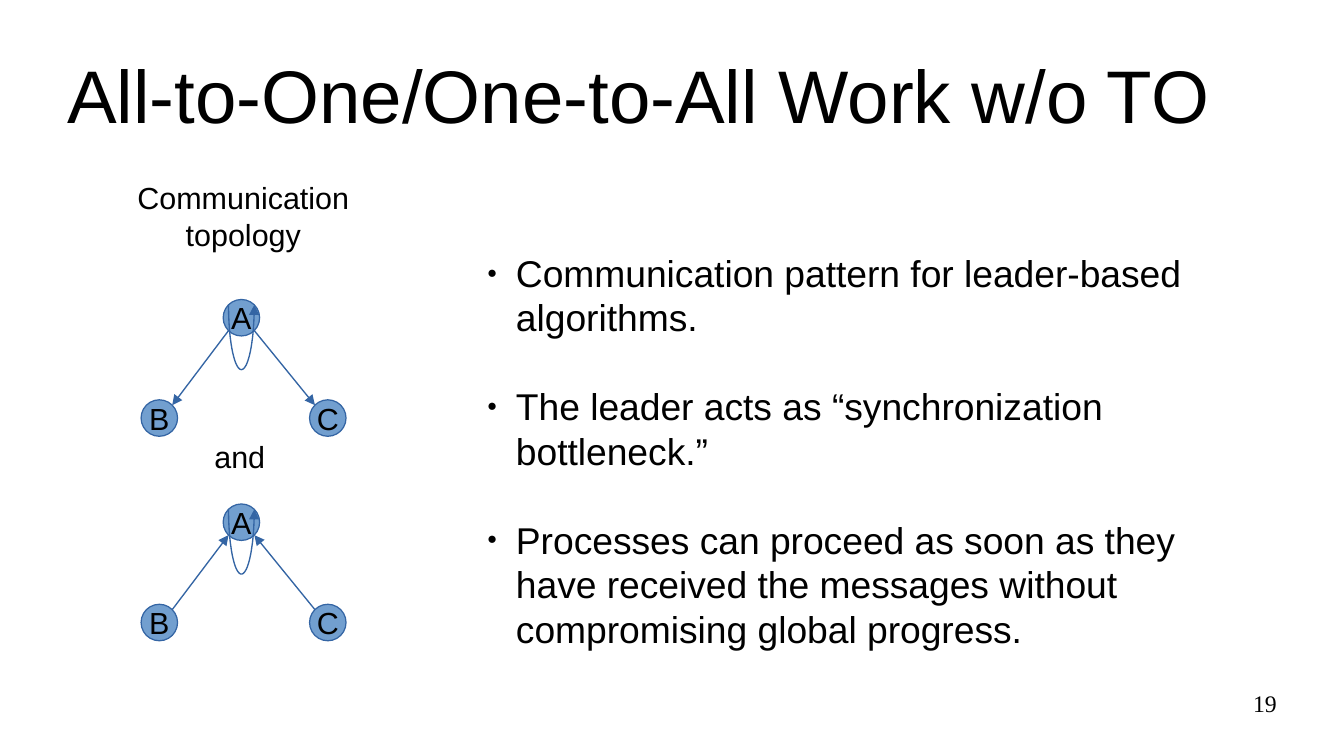
from dataclasses import dataclass
from math import cos, pi, sin, sqrt

from lxml.etree import SubElement
from pptx import Presentation
from pptx.dml.color import RGBColor
from pptx.enum.shapes import MSO_CONNECTOR, MSO_SHAPE
from pptx.enum.text import MSO_ANCHOR as Anchor, MSO_AUTO_SIZE as AutoSize, PP_ALIGN as Align
from pptx.oxml.ns import qn
from pptx.util import Cm, Pt


@dataclass(frozen=True)
class Theme:
    ink: RGBColor = RGBColor(0x00, 0x00, 0x00)
    node: RGBColor = RGBColor(0x72, 0x9F, 0xCF)
    edge: RGBColor = RGBColor(0x34, 0x65, 0xA4)
    sans: str = "Arial"
    serif: str = "Times New Roman"
    title: Pt = Pt(44)
    body: Pt = Pt(22)
    label: Pt = Pt(18)
    number: Pt = Pt(14)
    bullet_gap: Pt = Pt(26)
    stroke: Pt = Pt(0.79)
    outline: Pt = Pt(0)


THEME = Theme()
RADIUS = Cm(0.38)
CORNER = int(RADIUS / sqrt(2))
LOOP_DEPTH = Cm(1.35)
LOOP_STEPS = 48

BULLETS = (
    "Communication pattern for leader-based algorithms.",
    "The leader acts as “synchronization bottleneck.”",
    "Processes can proceed as soon as they have received the messages "
    "without compromising global progress.",
)


def place(shape, left, top, width, height):
    shape.left, shape.top = Cm(left), Cm(top)
    shape.width, shape.height = Cm(width), Cm(height)


def write(para, words, size, font=THEME.sans, align=Align.LEFT):
    para.alignment = align
    span = para.add_run()
    span.text = words
    span.font.size = size
    span.font.name = font
    span.font.color.rgb = THEME.ink


def set_margins(frame, side, end):
    frame.margin_left = frame.margin_right = Cm(side)
    frame.margin_top = frame.margin_bottom = Cm(end)


def add_title(page, words):
    title = page.shapes.title
    place(title, 1.4, 0.63, 25.2, 2.63)
    frame = title.text_frame
    set_margins(frame, 0, 0)
    frame.vertical_anchor = Anchor.MIDDLE
    frame.auto_size = AutoSize.NONE
    write(frame.paragraphs[0], words, THEME.title)


def add_text(page, bounds, lines, size, font=THEME.sans, align=Align.CENTER,
             margins=(0, 0.13)):
    box = page.shapes.add_textbox(*(Cm(length) for length in bounds))
    frame = box.text_frame
    frame.word_wrap = True
    set_margins(frame, *margins)
    for index, words in enumerate(lines):
        para = frame.add_paragraph() if index else frame.paragraphs[0]
        write(para, words, size, font, align)
    return frame


def add_bullet(para):
    properties = para._p.get_or_add_pPr()
    properties.set("marL", str(Cm(0.6)))
    properties.set("indent", str(-Cm(0.6)))
    color = SubElement(properties, qn("a:buClr"))
    SubElement(color, qn("a:srgbClr"), val=str(THEME.ink))
    SubElement(properties, qn("a:buSzPct"), val="45000")
    SubElement(properties, qn("a:buFont"), typeface=THEME.sans)
    SubElement(properties, qn("a:buChar"), char="●")


def add_bullets(page, bounds, items):
    frame = add_text(page, bounds, items, THEME.body, align=Align.LEFT,
                     margins=(0.25, 0.13))
    for index, para in enumerate(frame.paragraphs):
        add_bullet(para)
        if index:
            para.space_before = THEME.bullet_gap


def add_node(page, name, center):
    x, y = center
    node = page.shapes.add_shape(
        MSO_SHAPE.OVAL, x - RADIUS, y - RADIUS, 2 * RADIUS, 2 * RADIUS)
    node.shadow.inherit = False
    node.fill.solid()
    node.fill.fore_color.rgb = THEME.node
    node.line.color.rgb = THEME.edge
    node.line.width = THEME.outline
    frame = node.text_frame
    frame.word_wrap = False
    frame.vertical_anchor = Anchor.MIDDLE
    set_margins(frame, 0.25, 0.13)
    write(frame.paragraphs[0], name, THEME.label, align=Align.CENTER)


def style_arrow(line):
    line.color.rgb = THEME.edge
    line.width = THEME.stroke
    SubElement(line._get_or_add_ln(), qn("a:tailEnd"), type="triangle")


def add_arrow(page, start, end):
    arrow = page.shapes.add_connector(MSO_CONNECTOR.STRAIGHT, *start, *end)
    style_arrow(arrow.line)
    SubElement(arrow._element.spPr, qn("a:effectLst"))


def add_self_loop(page, center):
    """Draw a half ellipse hanging between the upper corners of a node."""
    x, y = center
    angles = [pi * step / LOOP_STEPS for step in range(LOOP_STEPS + 1)]
    points = [(int(x - CORNER * cos(angle)), int(y - CORNER + LOOP_DEPTH * sin(angle)))
              for angle in angles]
    builder = page.shapes.build_freeform(*points[0])
    builder.add_line_segments(points[1:], close=False)
    loop = builder.convert_to_shape()
    loop.shadow.inherit = False
    loop.fill.background()
    style_arrow(loop.line)


def add_topology(page, top, outward):
    """Draw leader A above B and C, with messages leaving or reaching A."""
    leader = (Cm(5.03), Cm(top + 0.38))
    follower_y = Cm(top + 2.47)
    followers = {"B": (Cm(3.32), follower_y), "C": (Cm(6.83), follower_y)}
    add_node(page, "A", leader)
    for name, center in followers.items():
        add_node(page, name, center)
    add_self_loop(page, leader)
    for x, y in followers.values():
        side = CORNER if x > leader[0] else -CORNER
        ends = [(leader[0] + side, leader[1] + CORNER), (x - side, y - CORNER)]
        add_arrow(page, *(ends if outward else reversed(ends)))


def main():
    deck = Presentation()
    deck.slide_width, deck.slide_height = Cm(28), Cm(15.75)
    page = deck.slides.add_slide(deck.slide_layouts[5])
    add_title(page, "All-to-One/One-to-All Work w/o TO")
    add_text(page, (2.62, 3.61, 4.9, 1.68), ("Communication", "topology"), THEME.label)
    add_topology(page, 6.24, outward=True)
    add_text(page, (4.22, 9, 1.55, 0.97), ("and",), THEME.label)
    add_topology(page, 10.5, outward=False)
    add_bullets(page, (9.9, 5.08, 15.24, 8.05), BULLETS)
    add_text(page, (20.07, 14.35, 6.53, 1.09), ("19",), THEME.number, THEME.serif,
             Align.RIGHT, margins=(0, 0))
    deck.save("out.pptx")


if __name__ == "__main__":
    main()
